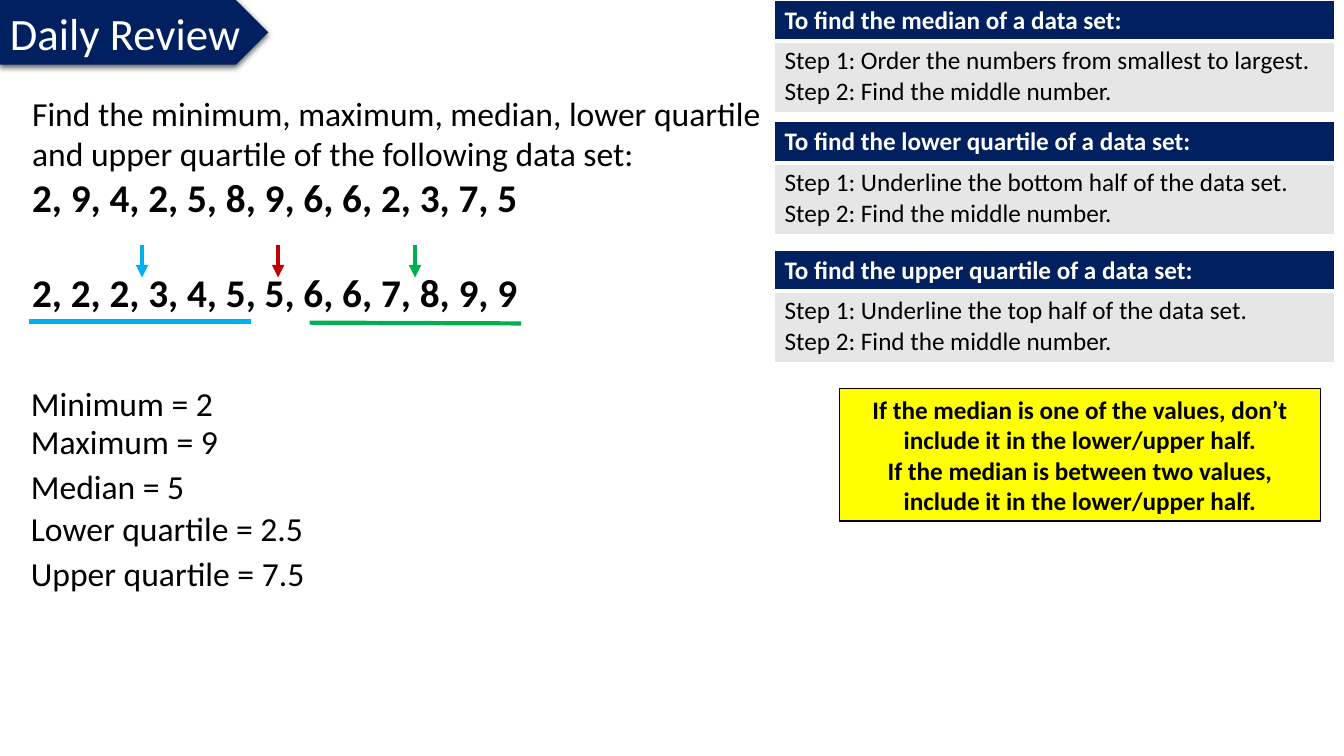
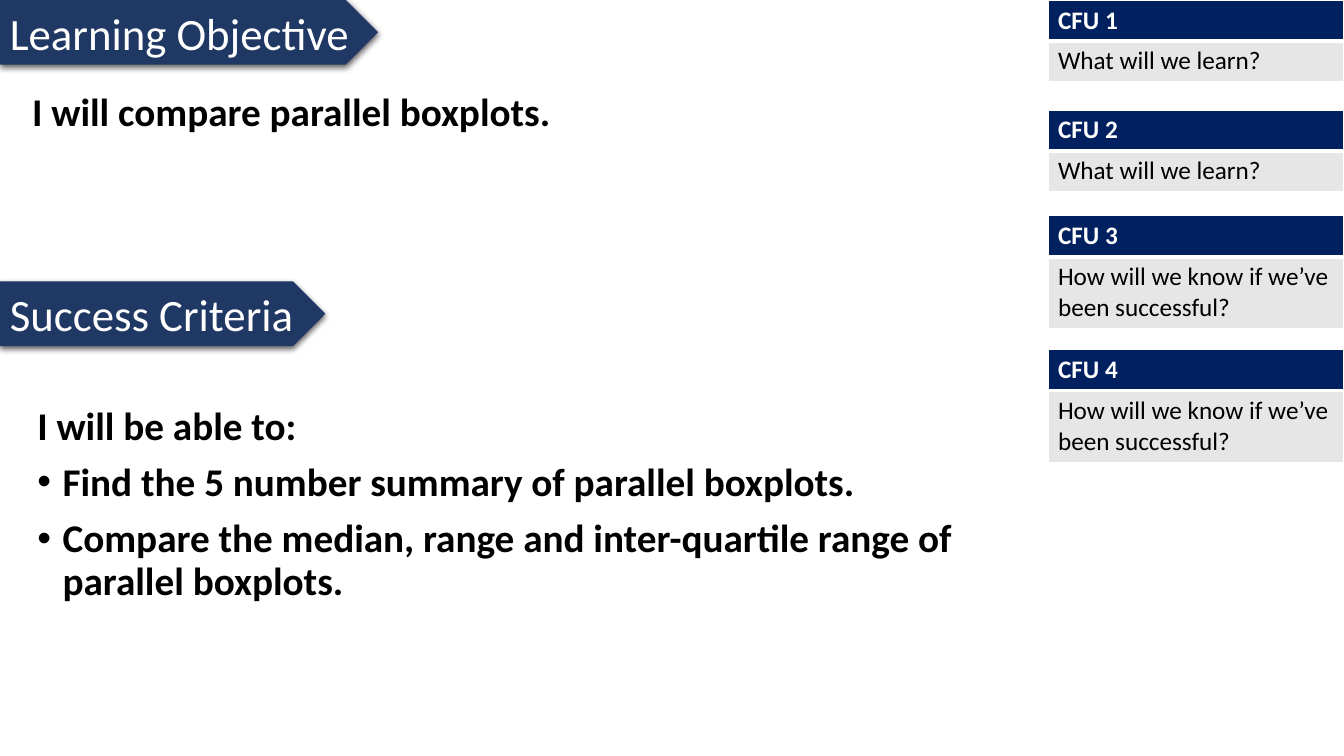
"""Build the daily review and learning objective slides of a lesson on boxplots."""
from lxml.etree import SubElement
from pptx import Presentation
from pptx.dml.color import RGBColor
from pptx.enum.shapes import MSO_CONNECTOR, MSO_SHAPE
from pptx.enum.text import MSO_ANCHOR, PP_ALIGN
from pptx.oxml import parse_xml
from pptx.oxml.ns import nsdecls, qn
from pptx.util import Cm, Pt

FONT = "Calibri"
COLOURS = {
    "navy": "002060",
    "slate": "203864",
    "grey": "E7E6E6",
    "yellow": "FFFF00",
    "black": "000000",
    "white": "FFFFFF",
    "red": "C00000",
    "blue": "00B0F0",
    "green": "00B050",
}
HEADER_HEIGHT = 1.0
LINE_HEIGHT = 0.77
CELL_PADDING = 0.26


def colour(name):
    return RGBColor.from_string(COLOURS[name])


def style(paragraph, size, ink="black", bold=False):
    for span in paragraph.runs:
        span.font.name = FONT
        span.font.size = Pt(size)
        span.font.bold = bold
        span.font.color.rgb = colour(ink)


def write(frame, text, size, ink="black", bold=False, align=PP_ALIGN.LEFT):
    frame.text = text
    for paragraph in frame.paragraphs:
        paragraph.alignment = align
        style(paragraph, size, ink, bold)


def add_text(page, left, top, width, height, text, size, bold=False):
    box = page.shapes.add_textbox(Cm(left), Cm(top), Cm(width), Cm(height))
    box.text_frame.word_wrap = True
    write(box.text_frame, text, size, bold=bold)
    return box.text_frame


def add_title_tab(page, top, width, text, fill):
    tab = page.shapes.add_shape(MSO_SHAPE.PENTAGON, 0, Cm(top), Cm(width), Cm(1.63))
    tab.fill.solid()
    tab.fill.fore_color.rgb = colour(fill)
    tab.line.fill.background()
    tab.shadow.inherit = False
    effects = tab._element.spPr.find(qn("a:effectLst"))
    effects.append(parse_xml(
        f'<a:outerShdw {nsdecls("a")} blurRad="{Pt(4.5)}" dist="{Pt(1.5)}" '
        f'dir="5400000" algn="ctr" rotWithShape="0"><a:srgbClr val="{COLOURS["black"]}">'
        '<a:alpha val="63000"/></a:srgbClr></a:outerShdw>'))
    tab.text_frame.margin_right = 0
    tab.text_frame.vertical_anchor = MSO_ANCHOR.MIDDLE
    write(tab.text_frame, text, 32, "white")


def set_borders(cell, top, bottom):
    properties = cell._tc.get_or_add_tcPr()
    widths = {"lnL": 1, "lnR": 1, "lnT": top, "lnB": bottom}
    for position, (side, width) in enumerate(widths.items()):
        properties.insert(position, parse_xml(
            f'<a:{side} {nsdecls("a")} w="{Pt(width)}"><a:solidFill>'
            f'<a:srgbClr val="{COLOURS["white"]}"/></a:solidFill></a:{side}>'))


def add_card(page, left, top, width, heading, body, lines):
    body_height = LINE_HEIGHT * lines + CELL_PADDING
    frame = page.shapes.add_table(
        2, 1, Cm(left), Cm(top), Cm(width), Cm(HEADER_HEIGHT + body_height))
    table = frame.table
    rows = [
        (heading, HEADER_HEIGHT, "navy", "white", True, 1, 3),
        (body, body_height, "grey", "black", False, 3, 1),
    ]
    for index, (text, height, fill, ink, bold, above, below) in enumerate(rows):
        table.rows[index].height = Cm(height)
        cell = table.cell(index, 0)
        cell.fill.solid()
        cell.fill.fore_color.rgb = colour(fill)
        set_borders(cell, above, below)
        write(cell.text_frame, text, 18, ink, bold)


def add_line(page, start, end, ink, arrow=False):
    line = page.shapes.add_connector(
        MSO_CONNECTOR.STRAIGHT, *(Cm(value) for value in start + end))
    line.line.color.rgb = colour(ink)
    line.line.width = Pt(3)
    if arrow:
        SubElement(line.get_or_add_ln(), qn("a:tailEnd"), type="triangle")
    SubElement(line._element.spPr, qn("a:effectLst"))


def add_note(page, left, top, width, height, text):
    note = page.shapes.add_shape(
        MSO_SHAPE.RECTANGLE, Cm(left), Cm(top), Cm(width), Cm(height))
    note.fill.solid()
    note.fill.fore_color.rgb = colour("yellow")
    note.line.color.rgb = colour("black")
    note.line.width = Pt(0.75)
    note.shadow.inherit = False
    write(note.text_frame, text, 18, bold=True, align=PP_ALIGN.CENTER)


def add_bullet(paragraph):
    properties = paragraph._p.get_or_add_pPr()
    properties.set("marL", str(Cm(0.64)))
    properties.set("indent", str(-Cm(0.64)))
    SubElement(properties, qn("a:buFont"), typeface="Arial")
    SubElement(properties, qn("a:buChar"), char="•")


def add_goals(page, left, top, width, height, text):
    frame = add_text(page, left, top, width, height, text, 28, bold=True)
    for index, paragraph in enumerate(frame.paragraphs):
        paragraph.line_spacing = 0.9
        if index:
            paragraph.space_before = Pt(10)
            add_bullet(paragraph)


def build_review(page):
    steps = [
        (0, "median", "Order the numbers from smallest to largest."),
        (3.07, "lower quartile", "Underline the bottom half of the data set."),
        (6.3, "upper quartile", "Underline the top half of the data set."),
    ]
    for top, measure, first_step in steps:
        add_card(page, 19.52, top, 14.12, f"To find the {measure} of a data set:",
                 f"Step 1: {first_step}\nStep 2: Find the middle number.", 2)
    add_note(page, 21.16, 9.8, 12.12, 3.33,
             "If the median is one of the values, don’t include it in the lower/upper half.\n"
             "If the median is between two values, include it in the lower/upper half.")

    question = add_text(
        page, 0.56, 2.21, 19.2, 5.89,
        "Find the minimum, maximum, median, lower quartile and upper quartile "
        "of the following data set:\n"
        "2, 9, 4, 2, 5, 8, 9, 6, 6, 2, 3, 7, 5\n"
        "2, 2, 2, 3, 4, 5, 5, 6, 6, 7, 8, 9, 9", 24)
    for data_set in question.paragraphs[1:]:
        style(data_set, 28, bold=True)
    question.paragraphs[2].space_before = Pt(34)

    for x, ink in [(3.58, "blue"), (7.01, "red"), (10.46, "green")]:
        add_line(page, (x, 6.17), (x, 6.99), ink, arrow=True)
    add_line(page, (0.74, 8.1), (6.32, 8.1), "blue")
    add_line(page, (7.8, 8.13), (13.13, 8.15), "green")

    answers = [
        (9.53, "Minimum = 2"),
        (10.49, "Maximum = 9"),
        (11.61, "Median = 5"),
        (12.67, "Lower quartile = 2.5"),
        (13.82, "Upper quartile = 7.5"),
    ]
    for top, answer in answers:
        add_text(page, 0.53, top, 12.62, 1.27, answer, 24)
    add_title_tab(page, 0, 6.76, "Daily Review", "navy")


def build_objective(page):
    add_title_tab(page, 0, 9.53, "Learning Objective", "slate")
    add_title_tab(page, 7.09, 8.2, "Success Criteria", "slate")
    learn = ("What will we learn?", 1)
    succeed = ("How will we know if we’ve been successful?", 2)
    checks = [(0, learn), (2.77, learn), (5.44, succeed), (8.81, succeed)]
    for number, (top, (question, lines)) in enumerate(checks, 1):
        add_card(page, 26.41, top, 7.46, f"CFU {number}", question, lines)
    add_goals(page, 0.56, 2.21, 24.64, 6.35, "I will compare parallel boxplots.")
    add_goals(page, 0.69, 10.11, 24.36, 6.93,
              "I will be able to:\n"
              "Find the 5 number summary of parallel boxplots.\n"
              "Compare the median, range and inter-quartile range of parallel boxplots.")


def main():
    deck = Presentation()
    deck.slide_width = Cm(33.87)
    deck.slide_height = Cm(19.05)
    for build in (build_review, build_objective):
        build(deck.slides.add_slide(deck.slide_layouts[6]))
    deck.save("out.pptx")


if __name__ == "__main__":
    main()
